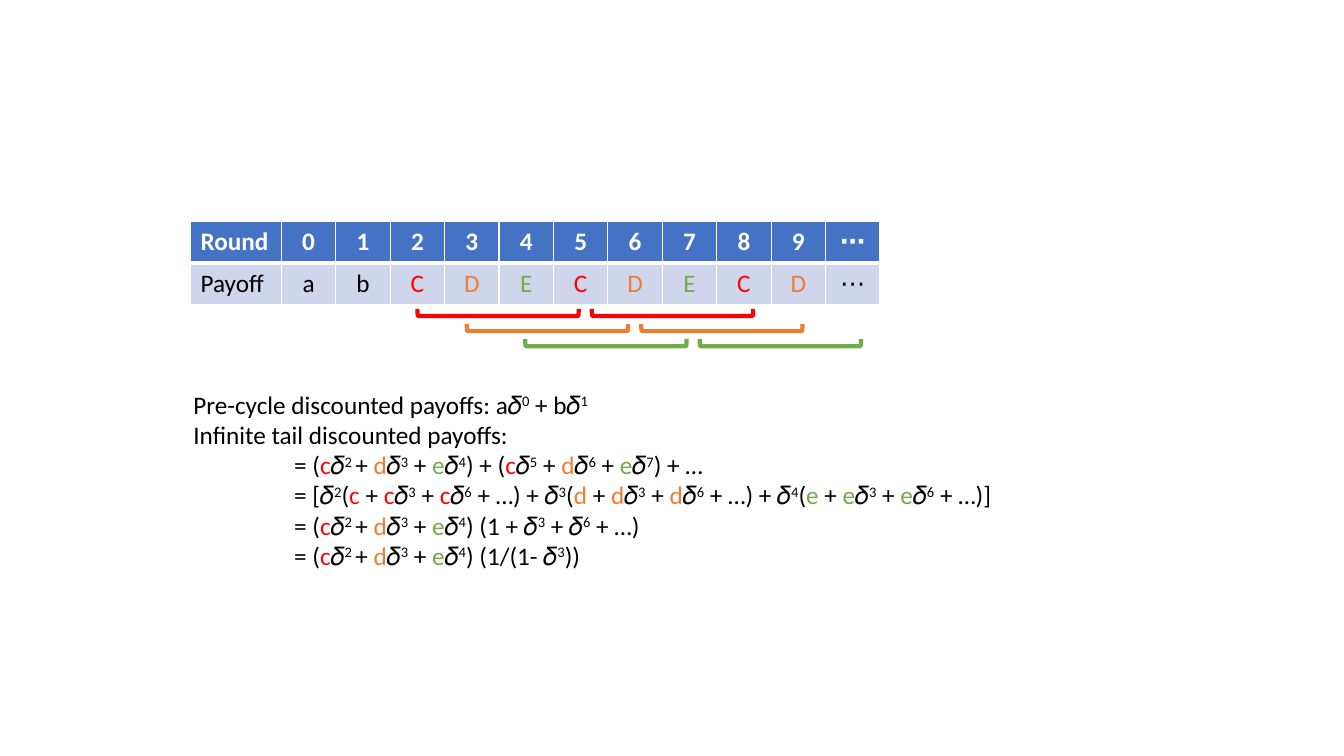
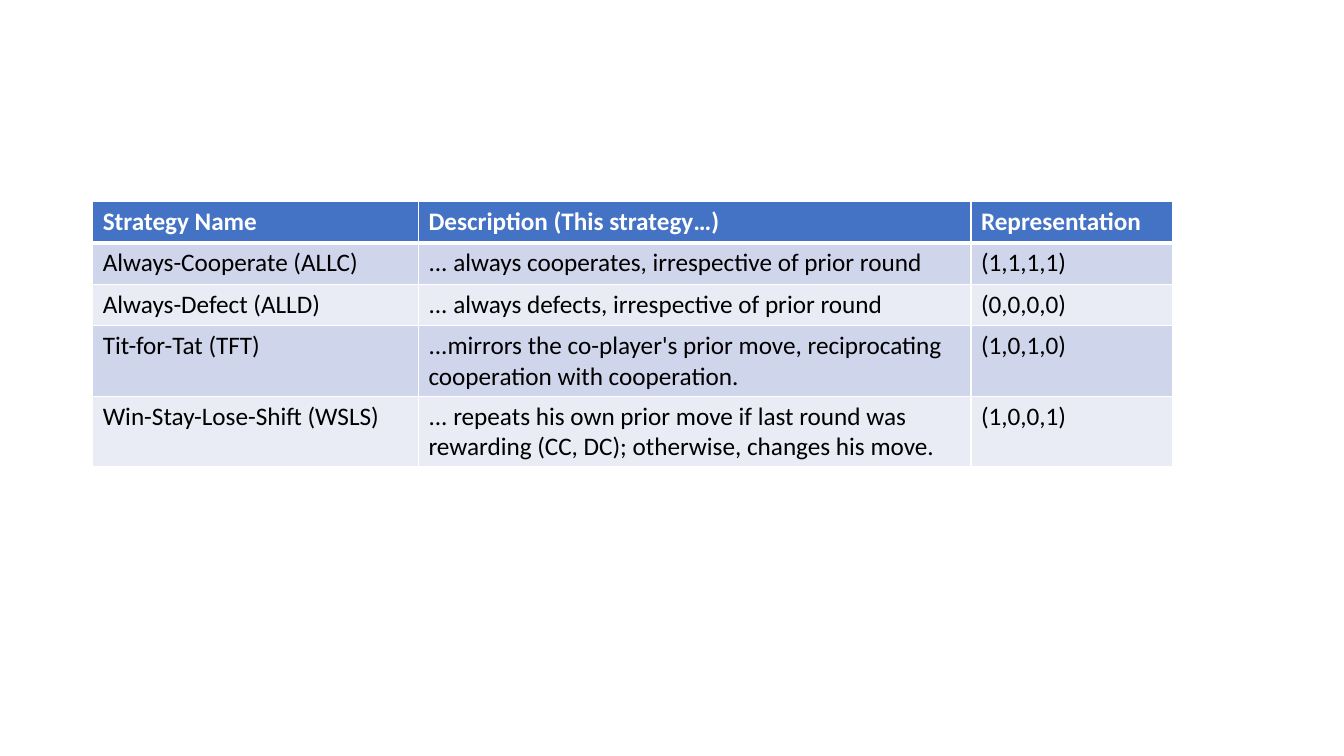
from dataclasses import dataclass

from lxml.etree import SubElement
from pptx import Presentation
from pptx.dml.color import RGBColor
from pptx.enum.shapes import MSO_SHAPE
from pptx.enum.text import MSO_AUTO_SIZE, PP_ALIGN
from pptx.oxml.ns import qn
from pptx.slide import Slide
from pptx.table import _Cell
from pptx.text.text import _Paragraph
from pptx.util import Inches, Pt

FONT = "Calibri"
TEXT_SIZE = Pt(18)
BLACK = RGBColor(0x00, 0x00, 0x00)
WHITE = RGBColor(0xFF, 0xFF, 0xFF)
HEADER_BLUE = RGBColor(0x44, 0x72, 0xC4)
BAND_DARK = RGBColor(0xCF, 0xD5, 0xEA)
BAND_LIGHT = RGBColor(0xE9, 0xEB, 0xF5)
RED = RGBColor(0xFF, 0x00, 0x00)
ORANGE = RGBColor(0xED, 0x7D, 0x31)
GREEN = RGBColor(0x70, 0xAD, 0x47)
PAYOFF_COLORS = {"c": RED, "d": ORANGE, "e": GREEN}

BRACKET_DEPTH = 0.07
BRACKET_SPAN = 1.6
CYCLE_STEP = 1.73

CYCLE_SUM = "= (|c|𝛿|^2 |+ |d|𝛿|^3| + |e|𝛿|^4|)"


@dataclass(frozen=True)
class Grid:
    left: float
    top: float
    widths: list[float]
    heights: list[float]
    rows: list[list[str]]
    centered: bool = False


@dataclass(frozen=True)
class CycleBrackets:
    first_center: float
    middle: float
    color: RGBColor


@dataclass(frozen=True)
class Formula:
    markup: str
    indent: float = 0


ROUNDS = Grid(
    1.89, 2.2, [0.9] + [0.54] * 11, [0.41] * 2,
    [["Round", *map(str, range(10)), "⋯"], ["Payoff", *"abCDECDECD", "⋯"]],
    centered=True,
)

STRATEGIES = Grid(
    0.92, 2, [3.23, 5.48, 2], [0.41] * 3 + [0.7] * 2,
    [
        ["Strategy Name", "Description (This strategy…)", "Representation"],
        ["Always-Cooperate (ALLC)", "... always cooperates, irrespective of prior round", "(1,1,1,1)"],
        ["Always-Defect (ALLD)", "... always defects, irrespective of prior round", "(0,0,0,0)"],
        ["Tit-for-Tat (TFT)",
         "...mirrors the co-player's prior move, reciprocating cooperation with cooperation.",
         "(1,0,1,0)"],
        ["Win-Stay-Lose-Shift (WSLS)",
         "... repeats his own prior move if last round was rewarding (CC, DC); "
         "otherwise, changes his move.",
         "(1,0,0,1)"],
    ],
)

BRACKETS = [
    CycleBrackets(4.94, 3.1, RED),
    CycleBrackets(5.43, 3.25, ORANGE),
    CycleBrackets(6.01, 3.4, GREEN),
]

DERIVATION = [
    Formula("Pre-cycle discounted payoffs: a𝛿|^0| + b𝛿|^1"),
    Formula("Infinite tail discounted payoffs:"),
    Formula(CYCLE_SUM + "| + (|c|𝛿|^5| + |d|𝛿|^6| + |e|𝛿|^7|) + …", 1),
    Formula(
        "= [𝛿|^2|(|c |+ |c|𝛿|^3| + |c|𝛿|^6| + …) + 𝛿|^3|(|d| + |d|𝛿|^3| + |d|𝛿|^6"
        "| + …) + 𝛿|^4|(|e| + |e|𝛿|^3| + |e|𝛿|^6| + …)]", 1),
    Formula(CYCLE_SUM + "| (1 + 𝛿|^3| + 𝛿|^6| + …)", 1),
    Formula(CYCLE_SUM + "| (1/(1- 𝛿|^3|))", 1),
]


def add_run(paragraph: _Paragraph, text: str, ink: RGBColor = BLACK, bold: bool = False) -> None:
    run = paragraph.add_run()
    run.text = text.removeprefix("^")
    run.font.name = FONT
    run.font.size = TEXT_SIZE
    run.font.bold = bold
    run.font.color.rgb = PAYOFF_COLORS.get(text.strip().lower(), ink)
    if text.startswith("^"):
        run.font._element.set("baseline", "30000")


def add_borders(cell: _Cell, top: float, bottom: float) -> None:
    properties = cell._tc.get_or_add_tcPr()
    for side, weight in (("L", 1), ("R", 1), ("T", top), ("B", bottom)):
        border = SubElement(properties, qn(f"a:ln{side}"), w=str(Pt(weight)))
        fill = SubElement(border, qn("a:solidFill"))
        SubElement(fill, qn("a:srgbClr"), val=str(WHITE))


def add_grid(slide: Slide, grid: Grid) -> None:
    table = slide.shapes.add_table(
        len(grid.rows), len(grid.widths), Inches(grid.left), Inches(grid.top),
        Inches(sum(grid.widths)), Inches(sum(grid.heights)),
    ).table
    for column, width in zip(table.columns, grid.widths):
        column.width = Inches(width)
    for row, height in zip(table.rows, grid.heights):
        row.height = Inches(height)
    for row_index, texts in enumerate(grid.rows):
        is_header = row_index == 0
        band = HEADER_BLUE if is_header else (BAND_LIGHT, BAND_DARK)[row_index % 2]
        for column_index, text in enumerate(texts):
            cell = table.cell(row_index, column_index)
            add_borders(cell, 3 if row_index == 1 else 1, 3 if is_header else 1)
            cell.fill.solid()
            cell.fill.fore_color.rgb = band
            paragraph = cell.text_frame.paragraphs[0]
            if grid.centered and column_index > 0:
                paragraph.alignment = PP_ALIGN.CENTER
            add_run(paragraph, text, WHITE if is_header else BLACK, is_header)


def add_brackets(slide: Slide, brackets: CycleBrackets) -> None:
    for cycle in range(2):
        center = brackets.first_center + cycle * CYCLE_STEP
        bracket = slide.shapes.add_shape(
            MSO_SHAPE.LEFT_BRACKET,
            Inches(center - BRACKET_DEPTH / 2), Inches(brackets.middle - BRACKET_SPAN / 2),
            Inches(BRACKET_DEPTH), Inches(BRACKET_SPAN),
        )
        bracket.rotation = 270
        bracket.shadow.inherit = False
        bracket.fill.background()
        bracket.line.color.rgb = brackets.color
        bracket.line.width = Pt(3)


def add_derivation(slide: Slide, formulas: list[Formula]) -> None:
    frame = slide.shapes.add_textbox(
        Inches(1.82), Inches(3.81), Inches(9.47), Inches(1.92)).text_frame
    frame.word_wrap = True
    frame.auto_size = MSO_AUTO_SIZE.SHAPE_TO_FIT_TEXT
    for index, formula in enumerate(formulas):
        paragraph = frame.add_paragraph() if index else frame.paragraphs[0]
        paragraph._p.get_or_add_pPr().set("marL", str(Inches(formula.indent)))
        for text in formula.markup.split("|"):
            add_run(paragraph, text)


def main() -> None:
    presentation = Presentation()
    presentation.slide_width = Inches(13.33)
    presentation.slide_height = Inches(7.5)
    blank_layout = presentation.slide_layouts[6]

    payoff_slide = presentation.slides.add_slide(blank_layout)
    add_derivation(payoff_slide, DERIVATION)
    add_grid(payoff_slide, ROUNDS)
    for brackets in BRACKETS:
        add_brackets(payoff_slide, brackets)

    strategy_slide = presentation.slides.add_slide(blank_layout)
    add_grid(strategy_slide, STRATEGIES)

    presentation.save("out.pptx")


if __name__ == "__main__":
    main()
